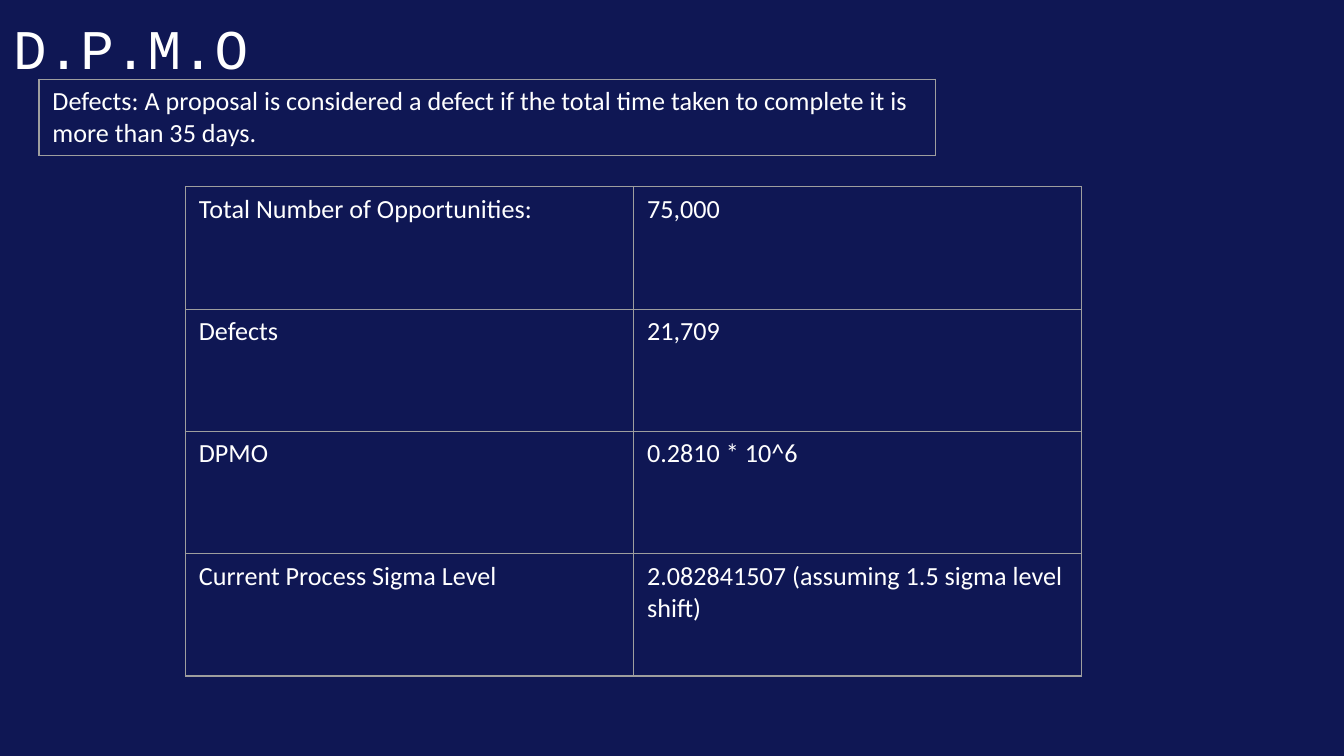
import pptx
import pptx.util
import pptx.dml.color
import pptx.oxml
import pptx.oxml.ns
from pptx.util import Inches

HUES = {"back": "0F1754", "text": "FFFFFF", "edge": "9E9E9E"}


def write(frame, text, font="Calibri", size=14):
    frame.word_wrap = True
    run = frame.paragraphs[0].add_run()
    run.text = text
    run.font.name = font
    run.font.size = pptx.util.Pt(size)
    run.font.color.rgb = pptx.dml.color.RGBColor.from_string(HUES["text"])


def edge(cell):
    props = cell._tc.get_or_add_tcPr()
    for spot, side in enumerate(("lnL", "lnR", "lnT", "lnB")):
        line = pptx.oxml.parse_xml(
            f'<a:{side} {pptx.oxml.ns.nsdecls("a")} w="{pptx.util.Pt(0.75)}">'
            f'<a:solidFill><a:srgbClr val="{HUES["edge"]}"/></a:solidFill></a:{side}>'
        )
        props.insert(spot, line)


deck = pptx.Presentation()
deck.slide_width = Inches(10)
deck.slide_height = Inches(10 * 9 / 16)
slide = deck.slides.add_slide(deck.slide_layouts[6])
slide.background.fill.solid()
slide.background.fill.fore_color.rgb = pptx.dml.color.RGBColor.from_string(HUES["back"])

title = slide.shapes.add_textbox(0, 0, Inches(8.43), Inches(0.63)).text_frame
title.margin_left = title.margin_right = Inches(0.1)
title.margin_top = title.margin_bottom = Inches(0.1)
write(title, "D.P.M.O", font="Courier New", size=30)

facts = [
    ("Total Number of Opportunities:", "75,000"),
    ("Defects", "21,709"),
    ("DPMO", "0.2810 * 10^6"),
    ("Current Process Sigma Level", "2.082841507 (assuming 1.5 sigma level shift)"),
]
rule = [
    (
        "Defects: A proposal is considered a defect if the total time taken "
        "to complete it is more than 35 days.",
    )
]

for rows, left, top, high in ((facts, 1.38, 1.39, 0.91), (rule, 0.29, 0.59, 0.57)):
    grid = slide.shapes.add_table(
        len(rows), len(rows[0]), Inches(left), Inches(top),
        Inches(6.67), Inches(high * len(rows)),
    ).table
    grid.first_row = False
    grid.horz_banding = False
    for r, row in enumerate(rows):
        for c, text in enumerate(row):
            cell = grid.cell(r, c)
            cell.fill.background()
            edge(cell)
            write(cell.text_frame, text)

deck.save("out.pptx")
